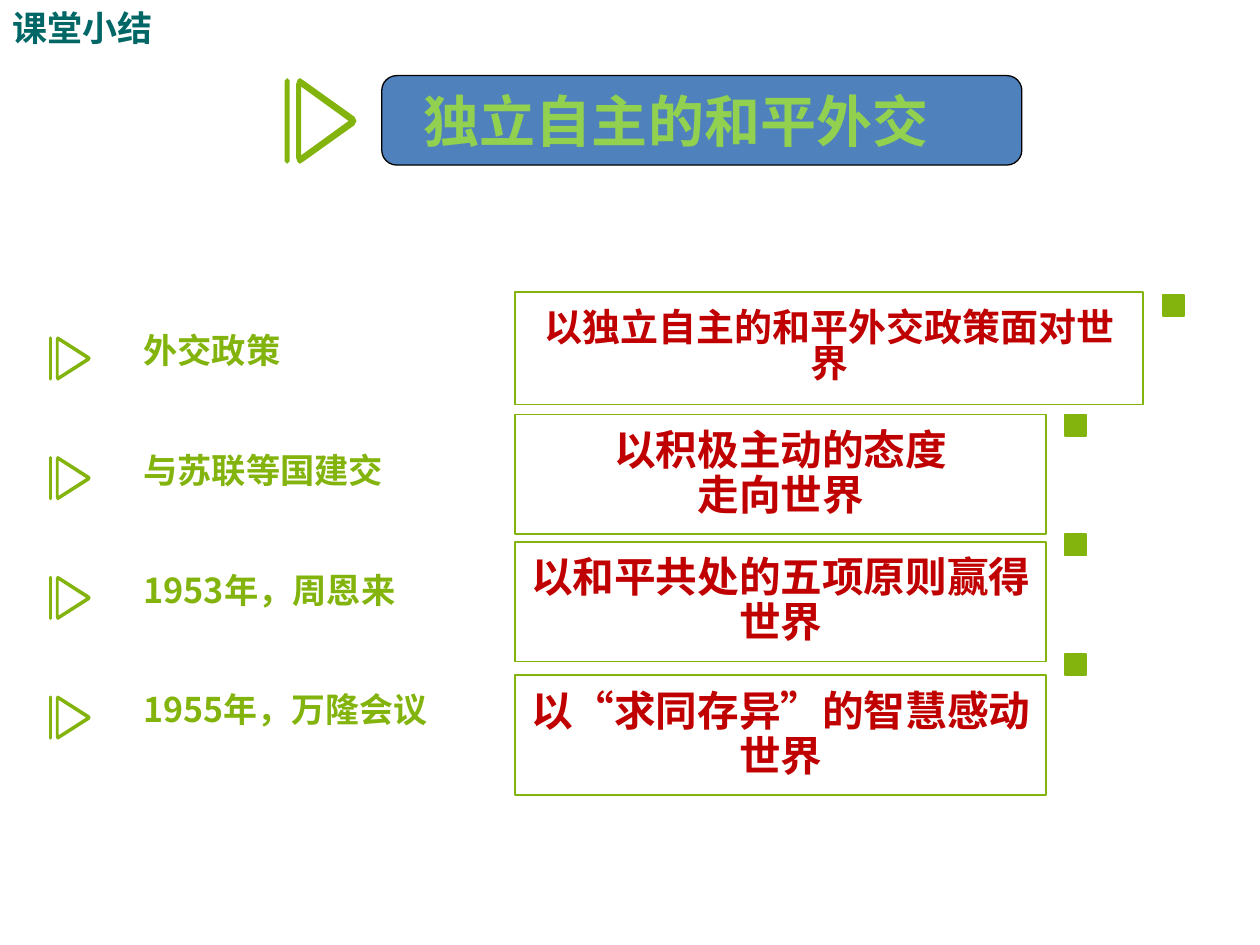
from lxml.etree import SubElement
from pptx import Presentation
from pptx.dml.color import RGBColor
from pptx.enum.shapes import MSO_SHAPE
from pptx.enum.text import MSO_ANCHOR, MSO_AUTO_SIZE, PP_ALIGN
from pptx.oxml.ns import qn
from pptx.util import Inches, Pt

CJK_FONT = "Noto Sans CJK SC"
GREEN, RED = "83B40D", "C00000"
ROW_TOP, ROW_STEP = 2.34, 0.95

PLAY_CONTOURS = [
    [(0.16, 0.07), (0.16, 0.93), (0.18, 0.98), (0.21, 1), (0.25, 0.98),
     (0.97, 0.55), (1, 0.5), (0.97, 0.45), (0.25, 0.02), (0.21, 0), (0.18, 0.02)],
    [(0.89, 0.5), (0.23, 0.9), (0.23, 0.1)],
    [(0, 0.03), (0.035, 0), (0.07, 0.03), (0.07, 0.97), (0.035, 1), (0, 0.97)],
]

ROWS = [
    ("外交政策", 19.6, ["以独立自主的和平外交政策面对世界"], 21.7, 0.8, (4.09, 2.32, 4.98, 0.89), 9.23),
    ("与苏联等国建交", 19.6, ["以积极主动的态度", "走向世界"], 23.8, 0.9, (4.09, 3.29, 4.21, 0.95), 8.45),
    ("1953年，周恩来", 19.6, ["以和平共处的五项原则赢得世界"], 23.8, 0.9, (4.09, 4.3, 4.21, 0.95), 8.45),
    ("1955年，万隆会议", 19.4, ["以“求同存异”的智慧感动世界"], 23.8, 0.9, (4.09, 5.36, 4.21, 0.95), 8.45),
]


def color(value):
    """Turn a hex string into a colour."""
    return RGBColor.from_string(value)


def write(shape, lines, size, ink, font=CJK_FONT, align=PP_ALIGN.LEFT,
          anchor=MSO_ANCHOR.TOP, spacing=1.0):
    """Fill a shape with bold paragraphs in one style."""
    frame = shape.text_frame
    frame.word_wrap = True
    frame.auto_size = MSO_AUTO_SIZE.NONE
    frame.vertical_anchor = anchor
    frame.text = "\n".join(lines)
    for para in frame.paragraphs:
        para.alignment = align
        para.line_spacing = spacing
        para.font.size = Pt(size)
        para.font.bold = True
        para.font.name = font
        para.font.color.rgb = color(ink)
        for span in para.runs:
            SubElement(span._r.get_or_add_rPr(), qn("a:ea"), typeface=CJK_FONT)


def add_box(page, kind, box, fill=None, line=GREEN, width=1):
    """Add a preset shape with an optional fill."""
    shape = page.shapes.add_shape(kind, *map(Inches, box))
    shape.shadow.inherit = False
    if fill:
        shape.fill.solid()
        shape.fill.fore_color.rgb = color(fill)
    else:
        shape.fill.background()
    shape.line.color.rgb = color(line)
    shape.line.width = Pt(width)
    return shape


def add_play_icon(page, box):
    """Draw a hollow triangle with a bar at its left inside the box."""
    left, top, width, height = box
    contours = [[(Inches(left + x * width), Inches(top + y * height)) for x, y in contour]
                for contour in PLAY_CONTOURS]
    builder = page.shapes.build_freeform(*contours[0][0])
    builder.add_line_segments(contours[0][1:])
    for contour in contours[1:]:
        builder.move_to(*contour[0])
        builder.add_line_segments(contour[1:])
    icon = builder.convert_to_shape()
    icon.shadow.inherit = False
    icon.fill.solid()
    icon.fill.fore_color.rgb = color(GREEN)
    icon.line.fill.background()


def add_heading(page, box):
    """Place the corner title."""
    title = page.shapes.title
    title.left, title.top, title.width, title.height = map(Inches, box)
    write(title, ["课堂小结"], 20, "006666", font="Arial")


def add_banner(page, box):
    """Place the topic banner and the large icon before it."""
    left, top, width, height = box
    add_play_icon(page, (left - 0.77, top + 0.02, 0.57, 0.68))
    banner = add_box(page, MSO_SHAPE.FLOWCHART_ALTERNATE_PROCESS, box, "4F81BD", "000000", 0.75)
    banner.text_frame.margin_left = Inches(0.3)
    write(banner, ["独立自主的和平外交"], 32, "92D050")


def add_row(page, top, row):
    """Place one summary row: icon, label, conclusion and marker."""
    label, label_size, lines, size, spacing, box, marker_left = row
    add_play_icon(page, (0.39, top + 0.33, 0.33, 0.35))
    caption = page.shapes.add_textbox(Inches(1.04), Inches(top + 0.29), Inches(3.1), Inches(0.44))
    write(caption, [label], label_size, GREEN, spacing=0.8)
    conclusion = add_box(page, MSO_SHAPE.RECTANGLE, box)
    write(conclusion, lines, size, RED, align=PP_ALIGN.CENTER,
          anchor=MSO_ANCHOR.MIDDLE, spacing=spacing)
    add_box(page, MSO_SHAPE.RECTANGLE, (marker_left, top, 0.17, 0.17), GREEN)


def main():
    """Build and save the slide."""
    deck = Presentation()
    deck.slide_width, deck.slide_height = Inches(10), Inches(7.5)
    page = deck.slides.add_slide(deck.slide_layouts[5])
    add_heading(page, (0, 0, 1.42, 0.44))
    for index, row in enumerate(ROWS):
        add_row(page, ROW_TOP + index * ROW_STEP, row)
    add_banner(page, (3.03, 0.6, 5.08, 0.71))
    deck.save("out.pptx")


if __name__ == "__main__":
    main()
